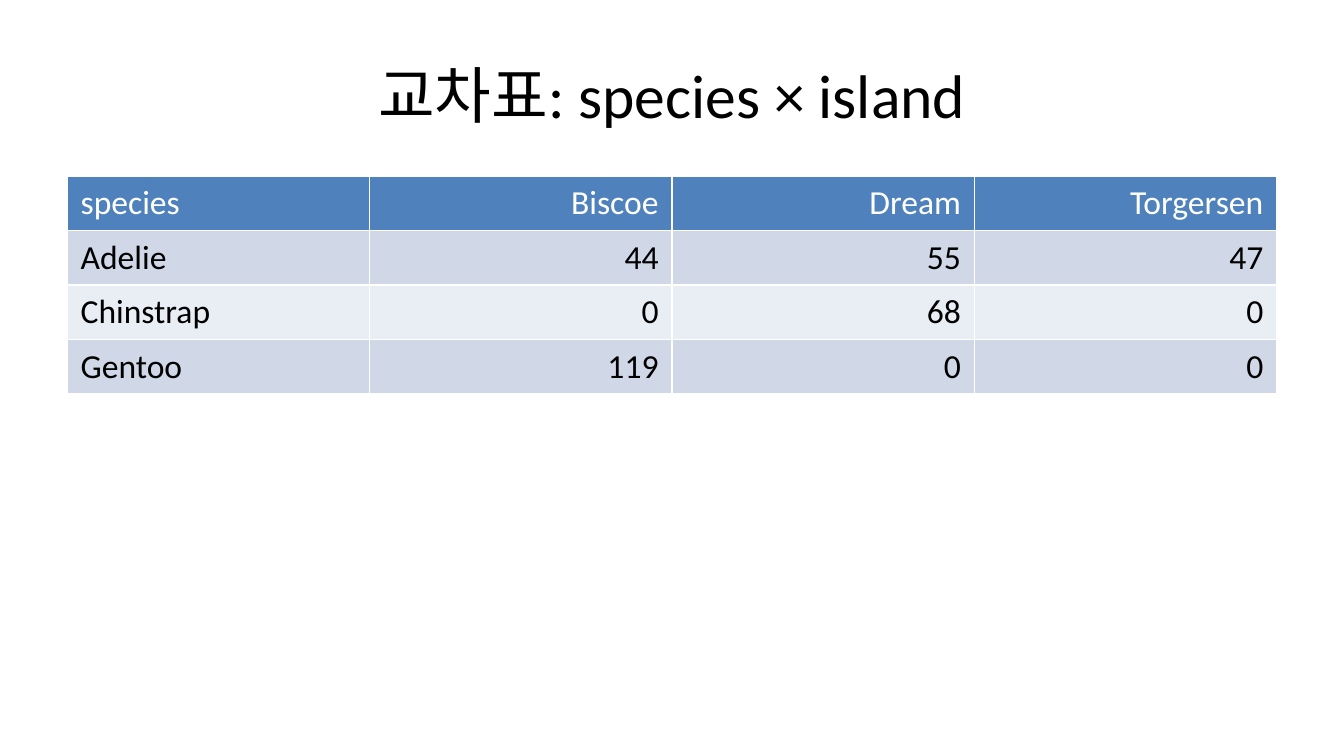
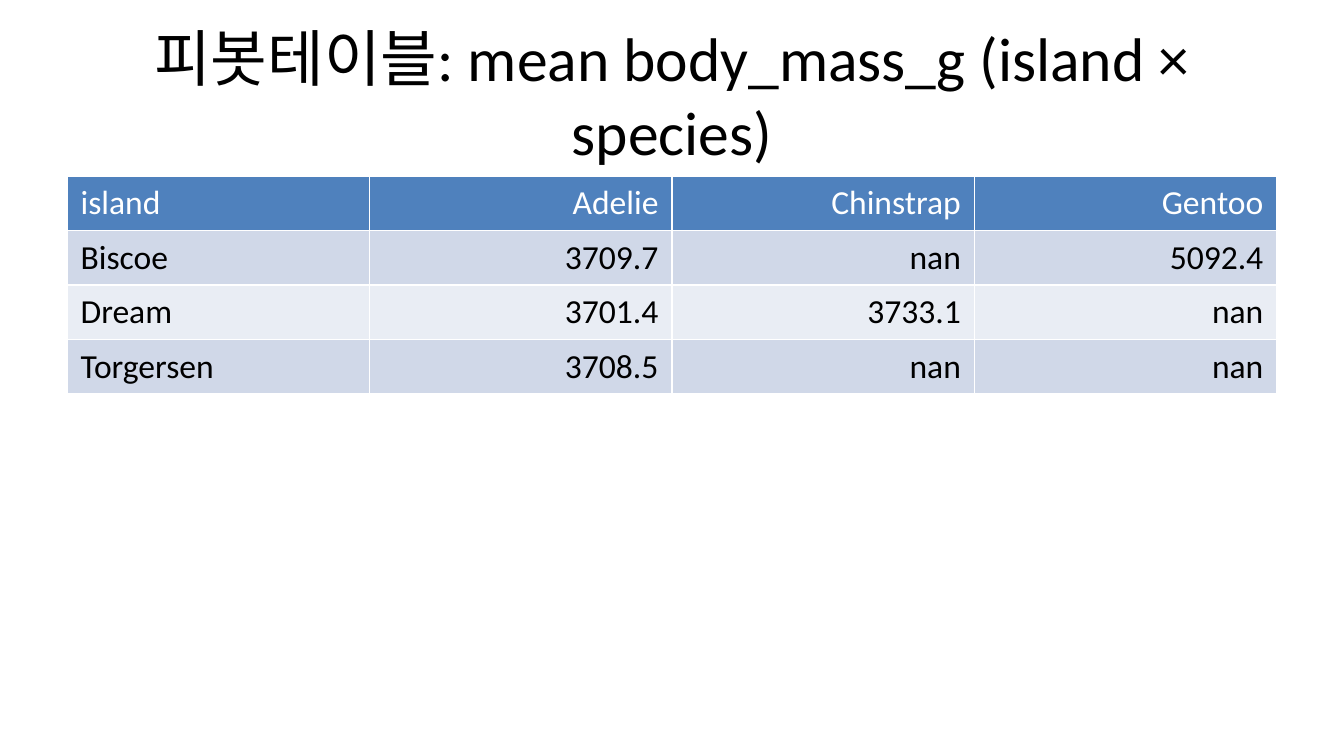
from pptx import Presentation
from pptx.dml.color import RGBColor
from pptx.enum.text import MSO_ANCHOR, MSO_AUTO_SIZE, PP_ALIGN
from pptx.util import Inches, Pt

FONT = "Calibri"
BLACK, WHITE = "000000", "FFFFFF"
HEADER_FILL = "4F81BD"
BAND_FILLS = ("D0D8E8", "E9EDF4")

# 16:9 slide; boxes are left, top, width, height in inches
SLIDE_W = 10
SLIDE_H = SLIDE_W * 9 / 16
MARGIN = SLIDE_W / 20
CONTENT_W = SLIDE_W - 2 * MARGIN
TITLE_BOX = (MARGIN, 0.23, CONTENT_W, SLIDE_H / 6)
TABLE_BOX = (MARGIN, 1.31, CONTENT_W, 3.71)

SLIDES = [
    ("교차표: species × island", [
        ("species", "Biscoe", "Dream", "Torgersen"),
        ("Adelie", "44", "55", "47"),
        ("Chinstrap", "0", "68", "0"),
        ("Gentoo", "119", "0", "0"),
    ]),
    ("피봇테이블: mean body_mass_g (island × species)", [
        ("island", "Adelie", "Chinstrap", "Gentoo"),
        ("Biscoe", "3709.7", "nan", "5092.4"),
        ("Dream", "3701.4", "3733.1", "nan"),
        ("Torgersen", "3708.5", "nan", "nan"),
    ]),
]


def rgb(color):
    return RGBColor.from_string(color)


def format_paragraph(p, size, color, align):
    p.alignment = align
    p.font.name = FONT
    p.font.size = Pt(size)
    p.font.bold = False
    p.font.color.rgb = rgb(color)


def add_title(slide, text, box):
    sp = slide.shapes.title
    sp.left, sp.top, sp.width, sp.height = map(Inches, box)
    tf = sp.text_frame
    tf.text = text
    tf.word_wrap = True
    tf.auto_size = MSO_AUTO_SIZE.NONE
    tf.vertical_anchor = MSO_ANCHOR.MIDDLE
    format_paragraph(tf.paragraphs[0], 33, BLACK, PP_ALIGN.CENTER)


def add_data_table(slide, rows, box):
    # The default table style supplies the white cell borders
    frame = slide.shapes.add_table(len(rows), len(rows[0]), *map(Inches, box))
    table = frame.table
    for i, row in enumerate(rows):
        table.rows[i].height = 0  # rows grow to fit their text
        fill = BAND_FILLS[(i - 1) % 2] if i else HEADER_FILL
        for j, text in enumerate(row):
            cell = table.cell(i, j)
            cell.text = text
            cell.fill.solid()
            cell.fill.fore_color.rgb = rgb(fill)
            format_paragraph(cell.text_frame.paragraphs[0], 18,
                             BLACK if i else WHITE,
                             PP_ALIGN.RIGHT if j else PP_ALIGN.LEFT)
    # Row changes reset the frame, so restore its height
    frame.height = Inches(box[3])


def add_table_slide(prs, title, rows):
    slide = prs.slides.add_slide(prs.slide_layouts.get_by_name("Title Only"))
    add_title(slide, title, TITLE_BOX)
    add_data_table(slide, rows, TABLE_BOX)


def main():
    prs = Presentation()
    prs.slide_width, prs.slide_height = Inches(SLIDE_W), Inches(SLIDE_H)
    for title, rows in SLIDES:
        add_table_slide(prs, title, rows)
    prs.save("out.pptx")


if __name__ == "__main__":
    main()
